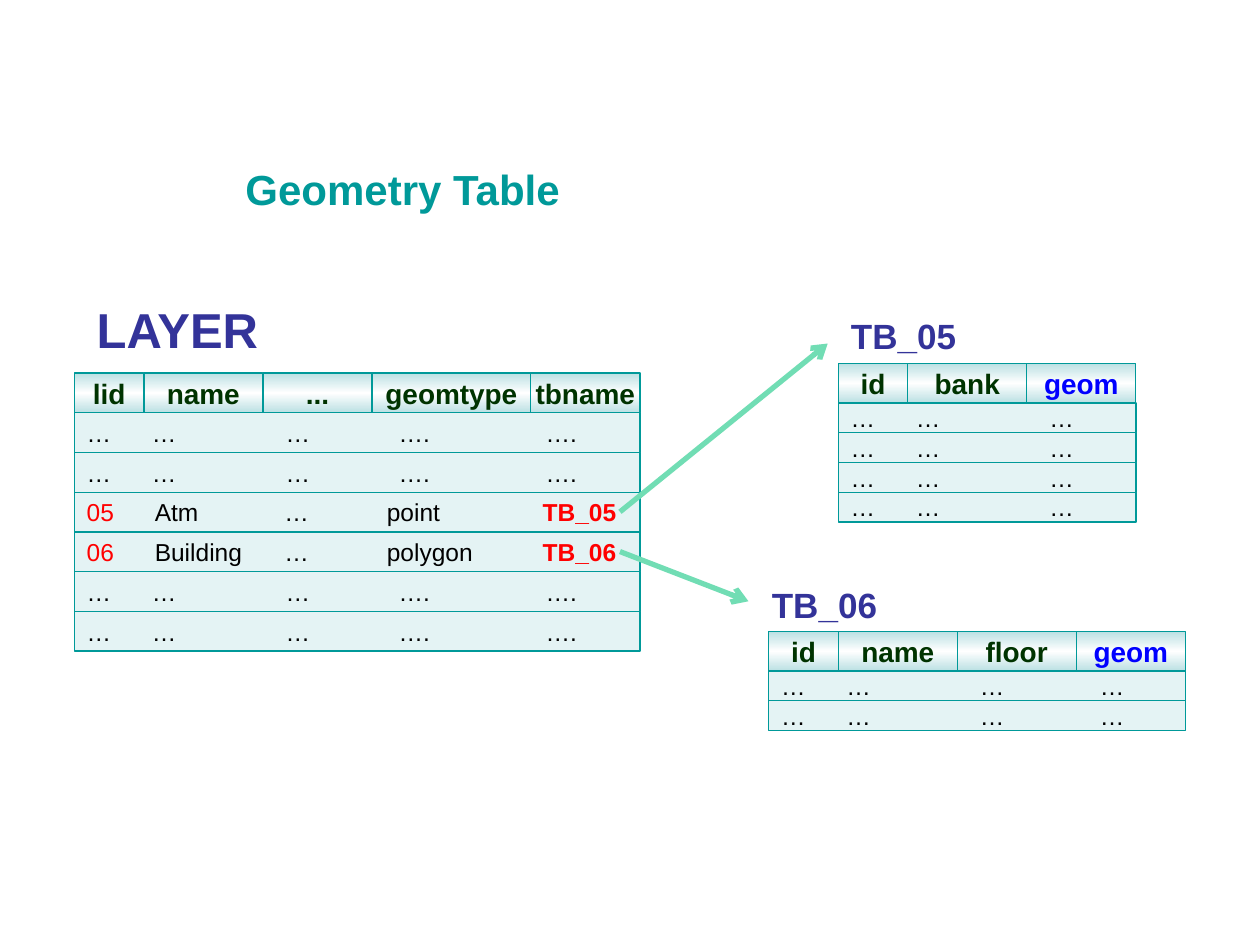
from itertools import accumulate

from lxml.etree import SubElement
from pptx import Presentation
from pptx.dml.color import RGBColor
from pptx.enum.shapes import MSO_CONNECTOR, MSO_SHAPE
from pptx.enum.text import MSO_ANCHOR, PP_ALIGN
from pptx.oxml.ns import qn
from pptx.util import Pt

TEAL = RGBColor(0x00, 0x99, 0x99)
AQUA = RGBColor(0xBB, 0xE0, 0xE3)
PALE = RGBColor(0xE4, 0xF3, 0xF4)
WHITE = RGBColor(0xFF, 0xFF, 0xFF)
BLACK = RGBColor(0x00, 0x00, 0x00)
GREEN = RGBColor(0x00, 0x33, 0x00)
INDIGO = RGBColor(0x33, 0x33, 0x99)
BLUE = RGBColor(0x00, 0x00, 0xFF)
RED = RGBColor(0xFF, 0x00, 0x00)
MINT = RGBColor(0x71, 0xDD, 0xB4)

ID_WIDTH, NAME_WIDTH, GEOM_WIDTH, TYPE_WIDTH = 39.7, 68, 62.4, 90.7
HEADER_HEIGHT = 22.7
FILLER_TABS = (37.3, 113.6, 178.2, 262.2)
RECORD_TABS = (38.9, 113, 171.5, 260.5)
FLOOR_TABS = (37.3, 113.6, 182.1)


def set_font(font, size, color, bold=False):
    """Apply the slide typeface with a size, colour and weight."""
    font.name = "Arial"
    font.size = Pt(size)
    font.bold = bold
    font.color.rgb = color


def add_label(slide, left, top, width, height, text, size, color):
    """Place a bold heading in its box."""
    frame = slide.shapes.add_textbox(Pt(left), Pt(top), Pt(width), Pt(height)).text_frame
    frame.word_wrap = True
    heading = frame.paragraphs[0]
    heading.text = text
    set_font(heading.font, size, color, True)


def add_band(slide, left, top, width, height):
    """Place an outlined rectangle with its text centred vertically."""
    band = slide.shapes.add_shape(
        MSO_SHAPE.RECTANGLE, Pt(left), Pt(top), Pt(width), Pt(height))
    band.shadow.inherit = False
    band.line.color.rgb = TEAL
    band.line.width = Pt(0.75)
    band.text_frame.vertical_anchor = MSO_ANCHOR.MIDDLE
    return band


def fill_gradient(fill):
    """Fill from aqua through white and back, top to bottom."""
    fill.gradient()
    fill.gradient_angle = 90
    stops = fill._fill._gradFill.find(qn("a:gsLst"))
    for stop in list(stops):
        stops.remove(stop)
    for position, color in ((0, AQUA), (50000, WHITE), (100000, AQUA)):
        stop = SubElement(stops, qn("a:gs"), pos=str(position))
        SubElement(stop, qn("a:srgbClr"), val=str(color))


def add_header(slide, left, top, width, name):
    """Place one column heading."""
    header = add_band(slide, left, top, width, HEADER_HEIGHT)
    fill_gradient(header.fill)
    header.text_frame.word_wrap = False
    title = header.text_frame.paragraphs[0]
    title.text = name
    title.alignment = PP_ALIGN.CENTER
    set_font(title.font, 16, BLUE if name == "geom" else GREEN, True)


def add_row(slide, left, top, width, height, values, tabs):
    """Place one table row with its values on tab stops."""
    row = add_band(slide, left, top, width, height)
    row.fill.solid()
    row.fill.fore_color.rgb = PALE
    row.text_frame.word_wrap = True
    record = row.text_frame.paragraphs[0]
    record.alignment = PP_ALIGN.LEFT
    tab_list = SubElement(record._p.get_or_add_pPr(), qn("a:tabLst"))
    for position in tabs[:len(values) - 1]:
        SubElement(tab_list, qn("a:tab"), pos=str(Pt(position)), algn="l")
    set_font(record.font, 14, BLACK)
    for index, value in enumerate(values):
        entry = record.add_run()
        entry.text = "\t" + value if index else value
        is_table_name = value.startswith("TB_")
        is_key = is_table_name or value.isdigit()
        set_font(entry.font, 14, RED if is_key else BLACK, is_table_name)


def add_data_table(slide, left, top, columns, rows, row_height):
    """Place the column headings and the rows below them."""
    widths = [width for _, width in columns]
    for (name, width), offset in zip(columns, accumulate([0] + widths)):
        add_header(slide, left + offset, top, width, name)
    for index, (values, tabs) in enumerate(rows):
        row_top = top + HEADER_HEIGHT + index * row_height
        add_row(slide, left, row_top, sum(widths), row_height, values, tabs)


def add_arrow(slide, start, end):
    """Draw an arrow from a layer record to its geometry table."""
    arrow = slide.shapes.add_connector(
        MSO_CONNECTOR.STRAIGHT, *(Pt(length) for length in start + end))
    arrow.line.color.rgb = MINT
    arrow.line.width = Pt(3)
    SubElement(arrow.line._get_or_add_ln(), qn("a:tailEnd"), type="arrow")
    SubElement(arrow._element.spPr, qn("a:effectLst"))


def build_slide(slide):
    """Place the title, the three tables and the arrows."""
    add_label(slide, 133.2, 90, 249.8, 47.5, "Geometry Table", 24, TEAL)

    add_label(slide, 48.2, 167.8, 108.7, 41, "LAYER", 28, INDIGO)
    filler = (("…", "…", "…", "….", "…."), FILLER_TABS)
    records = [
        (("05", "Atm", "…", "point", "TB_05"), RECORD_TABS),
        (("06", "Building", "…", "polygon", "TB_06"), RECORD_TABS),
    ]
    layer_columns = [("lid", ID_WIDTH), ("name", NAME_WIDTH), ("...", GEOM_WIDTH),
                     ("geomtype", TYPE_WIDTH), ("tbname", GEOM_WIDTH)]
    layer_rows = [filler] * 2 + records + [filler] * 2
    add_data_table(slide, 42.5, 213.2, layer_columns, layer_rows, 22.7)

    add_label(slide, 479.2, 176.4, 80, 31.5, "TB_05", 20, INDIGO)
    bank_columns = [("id", ID_WIDTH), ("bank", NAME_WIDTH), ("geom", GEOM_WIDTH)]
    add_data_table(slide, 479, 207.6, bank_columns, [("…" * 3, FILLER_TABS)] * 4, 17)

    add_label(slide, 434, 329.6, 80, 31.5, "TB_06", 20, INDIGO)
    building_columns = [("id", ID_WIDTH), ("name", NAME_WIDTH),
                        ("floor", NAME_WIDTH), ("geom", GEOM_WIDTH)]
    add_data_table(slide, 439.3, 360.8, building_columns, [("…" * 4, FLOOR_TABS)] * 2, 17)

    add_arrow(slide, (354.3, 292.5), (473, 196.3))
    add_arrow(slide, (354.3, 315.2), (427.7, 343.6))


def main():
    """Create and save the presentation."""
    presentation = Presentation()
    presentation.slide_width = Pt(720)
    presentation.slide_height = Pt(540)
    build_slide(presentation.slides.add_slide(presentation.slide_layouts[6]))
    presentation.save("out.pptx")


if __name__ == "__main__":
    main()
